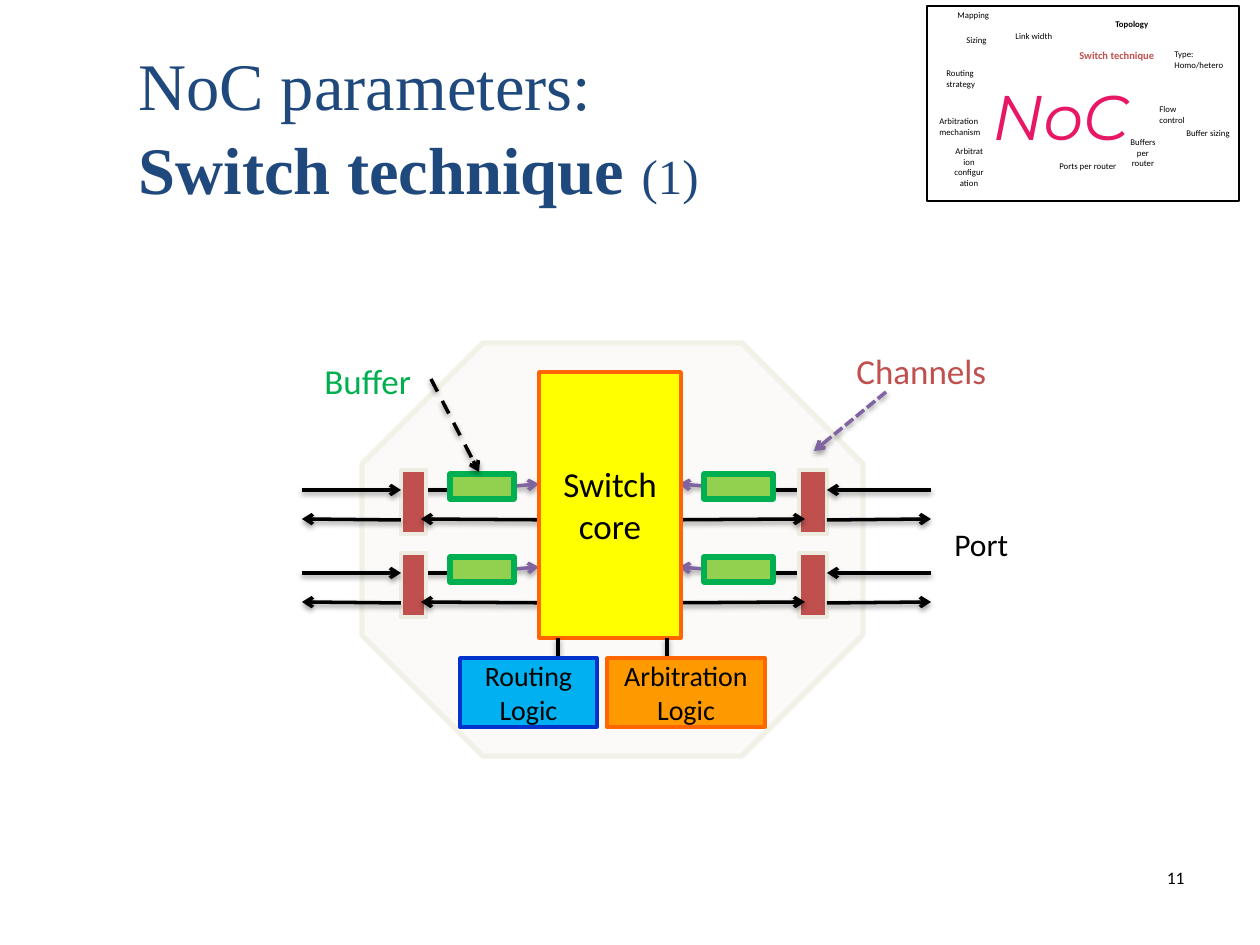
from lxml import etree
from pptx import Presentation
from pptx.dml.color import RGBColor
from pptx.enum.dml import MSO_LINE
from pptx.enum.shapes import MSO_CONNECTOR, MSO_SHAPE
from pptx.enum.text import MSO_ANCHOR, MSO_AUTO_SIZE, PP_ALIGN
from pptx.oxml.ns import qn
from pptx.util import Emu, Pt

RECT, OCT = MSO_SHAPE.RECTANGLE, MSO_SHAPE.OCTAGON
DASH, SHORT = MSO_LINE.DASH, MSO_LINE.SQUARE_DOT
LEFT, MID, RIGHT = PP_ALIGN.LEFT, PP_ALIGN.CENTER, PP_ALIGN.RIGHT
TOP, CENTER = MSO_ANCHOR.TOP, MSO_ANCHOR.MIDDLE
GROW, FIXED = MSO_AUTO_SIZE.SHAPE_TO_FIT_TEXT, MSO_AUTO_SIZE.NONE
STRAIGHT = MSO_CONNECTOR.STRAIGHT

COLORS = {
    "black": "000000", "white": "FFFFFF", "navy": "1F497D", "red": "C0504D",
    "cream": "FBFAF8", "edge": "F2F1E8", "sand": "EEECE1", "purple": "8064A2",
    "lime": "92D050", "green": "00B050", "yellow": "FFFF00", "rust": "FF6600",
    "sky": "00B0F0", "blue": "0033CC", "orange": "FF9900", "pink": "E81766",
}


def px(*nums):
    return [Emu(round(n * 914400 / 126)) for n in nums]


def color(name):
    return RGBColor.from_string(COLORS[name])


class Sketch:
    def __init__(self, slide, font):
        self.slide = slide
        self.font = font

    def run(self, para, text, size, tint="black", bold=False, italic=False, font=None):
        run = para.add_run()
        run.text = text
        face = run.font
        face.name = font or self.font
        face.size = Pt(size)
        face.bold = bold
        face.italic = italic
        face.color.rgb = color(tint)

    def title(self, area, lines):
        shape = self.slide.shapes.title
        shape.left, shape.top, shape.width, shape.height = px(*area)
        frame = shape.text_frame
        frame.auto_size = FIXED
        frame.vertical_anchor = TOP
        for i, runs in enumerate(lines):
            para = frame.add_paragraph() if i else frame.paragraphs[0]
            para.alignment = LEFT
            para.space_before = Pt(2 * i)
            for text, size, bold in runs:
                self.run(para, text, size, "navy", bold, font="Times New Roman")

    def text(self, area, lines, size, wrap=False, align=LEFT, fit=GROW, **look):
        frame = self.slide.shapes.add_textbox(*px(*area)).text_frame
        frame.word_wrap = wrap
        frame.auto_size = fit
        for i, line in enumerate(lines):
            para = frame.add_paragraph() if i else frame.paragraphs[0]
            para.alignment = align
            self.run(para, line, size, **look)

    def box(self, area, fill, edge, width=2, kind=RECT, label=None, size=16):
        shape = self.slide.shapes.add_shape(kind, *px(*area))
        shape.shadow.inherit = False
        shape.fill.solid()
        shape.fill.fore_color.rgb = color(fill)
        shape.line.color.rgb = color(edge)
        shape.line.width = Pt(width)
        if label:
            frame = shape.text_frame
            frame.word_wrap = True
            frame.vertical_anchor = CENTER
            para = frame.paragraphs[0]
            para.alignment = MID
            self.run(para, label, size)

    def line(self, x1, y1, x2, y2, tint="black", arrow=True, dash=None):
        link = self.slide.shapes.add_connector(STRAIGHT, *px(x1, y1, x2, y2))
        link.line.color.rgb = color(tint)
        link.line.width = Pt(2)
        if dash:
            link.line.dash_style = dash
        props = link.element.spPr
        if arrow:
            etree.SubElement(props.find(qn("a:ln")), qn("a:tailEnd"), type="arrow")
        effects = etree.SubElement(props, qn("a:effectLst"))
        shade = etree.SubElement(effects, qn("a:outerShdw"), blurRad=str(Pt(3.1)),
                                 dist=str(Pt(1.6)), dir="5400000", rotWithShape="0")
        tone = etree.SubElement(shade, qn("a:srgbClr"), val=COLORS["black"])
        etree.SubElement(tone, qn("a:alpha"), val="38000")

    def port(self, y, far, near, gate, stub, buffer, feed, core, back):
        self.line(feed, y + 16, core, y + 14, "purple")
        self.line(stub[0], y + 20, stub[1], y + 20, arrow=False)
        self.box((gate[0], y, gate[1], 64), "red", "sand")
        self.box((buffer[0], y + 4, buffer[1], 25), "lime", "green", 3)
        self.line(back, y + 50, stub[0], y + 49)
        self.line(near, y + 50, far, y + 49)
        self.line(far, y + 20, near, y + 20)


def main():
    deck = Presentation()
    deck.slide_width, deck.slide_height = px(1260, 945)
    art = Sketch(deck.slides.add_slide(deck.slide_layouts[5]), "Calibri")

    art.title((126, 38, 1071, 157), [
        [("NoC parameters:", 38, False)],
        [("Switch technique ", 38, True), ("(1)", 28, False)],
    ])
    art.text((935, 861, 262, 63), ["11"], 10, True, RIGHT, FIXED)

    art.box((362, 343, 501, 413), "cream", "edge", 3, OCT)
    sides = [
        dict(far=302, near=401, gate=(401, 25), stub=(421, 460),
             buffer=(450, 64), feed=515, core=539, back=568),
        dict(far=931, near=827, gate=(799, 28), stub=(805, 762),
             buffer=(704, 69), feed=704, core=679, back=648),
    ]
    for side in sides:
        for y in (470, 553):
            art.port(y, **side)
    art.box((539, 372, 142, 266), "yellow", "rust", label="Switch core", size=20)
    for x in (558, 667):
        art.line(x, 638, x, 668, arrow=False)
    art.box((460, 658, 137, 69), "sky", "blue", label="Routing Logic")
    art.box((607, 658, 158, 69), "orange", "rust", label="Arbitration Logic")

    art.text((942, 519, 102, 63), ["Port"], 18)
    art.text((844, 343, 174, 54), ["Channels"], 20, tint="red")
    art.text((312, 353, 118, 54), ["Buffer"], 20, tint="green")
    art.line(431, 379, 479, 472, dash=DASH)
    art.line(886, 392, 814, 451, "purple", dash=SHORT)

    art.box((927, 6, 312, 195), "white", "black", 1)
    art.text((1008, 71, 105, 59), ["NoC"], 36, align=MID, fit=FIXED,
             tint="pink", italic=True, font="Montserrat")
    art.text((1103, 13, 64, 23), ["Topology"], 5, bold=True)
    art.text((1067, 43, 111, 25), ["Switch technique"], 6, tint="red", bold=True)
    notes = [
        ((934, 62, 67, 34), ["Routing strategy"], True, LEFT),
        ((927, 110, 87, 34), ["Arbitration mechanism"], True, LEFT),
        ((1174, 122, 73, 23), ["Buffer sizing"], False, LEFT),
        ((1047, 155, 86, 23), ["Ports per router"], False, LEFT),
        ((1003, 25, 81, 23), ["Link width"], True, LEFT),
        ((1147, 98, 57, 34), ["Flow control"], True, LEFT),
        ((1162, 43, 76, 34), ["Type:", "Homo/hetero"], False, LEFT),
        ((942, 140, 54, 54), ["Arbitration configuration"], True, MID),
        ((1116, 131, 54, 44), ["Buffers per router"], True, MID),
        ((945, 4, 59, 23), ["Mapping"], False, LEFT),
        ((954, 29, 49, 23), ["Sizing"], False, LEFT),
    ]
    for area, lines, wrap, align in notes:
        art.text(area, lines, 5, wrap, align)

    deck.save("out.pptx")


if __name__ == "__main__":
    main()
